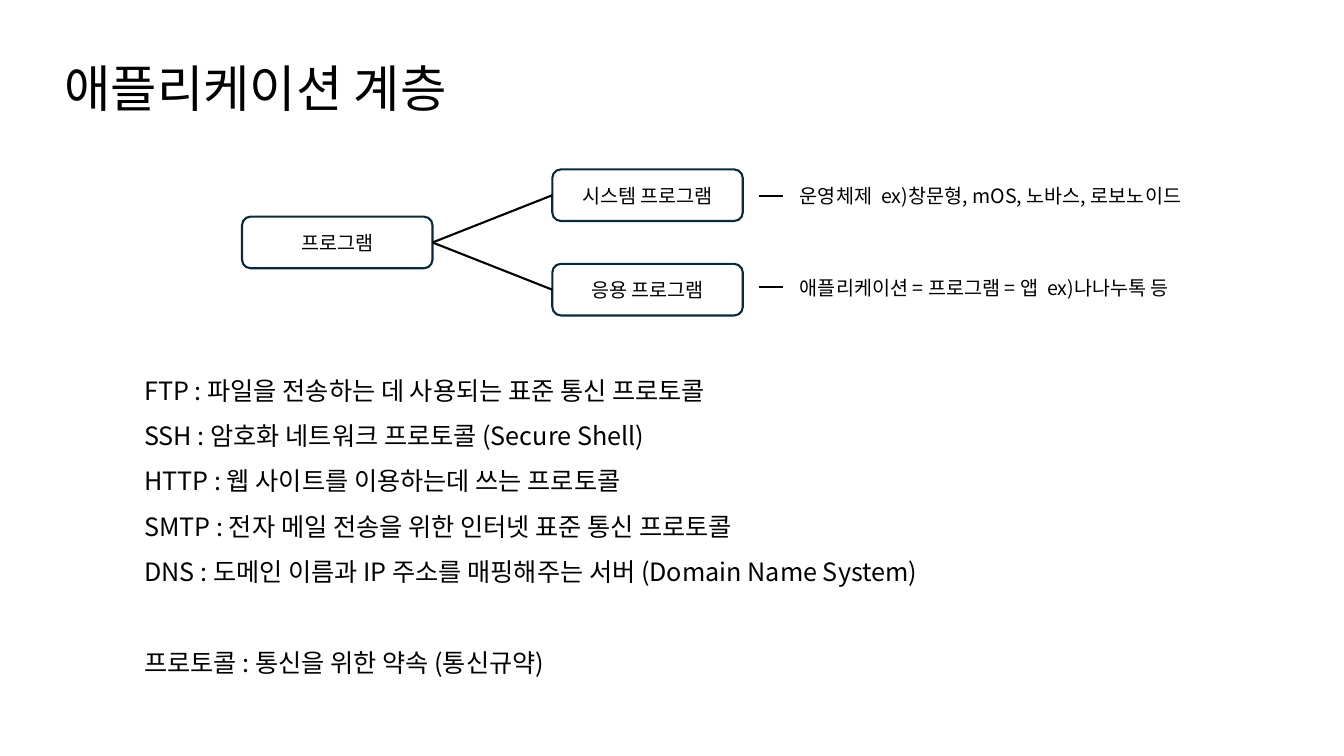
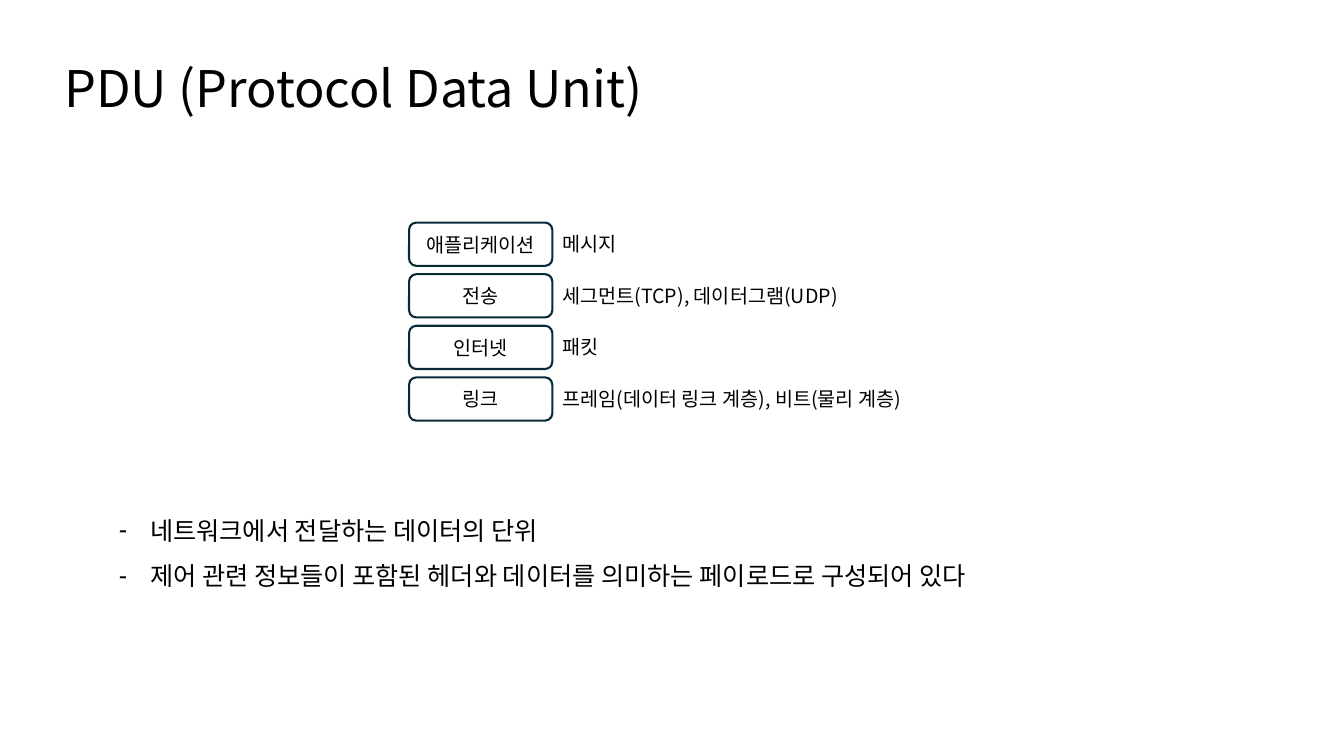
"""Builds two slides on the application layer and its protocol data units."""
import pptx
import pptx.util
import pptx.oxml
import pptx.dml.color
import pptx.enum.text
import pptx.enum.shapes

Cm, Pt = pptx.util.Cm, pptx.util.Pt
ALIGN = pptx.enum.text.PP_ALIGN
MID = pptx.enum.text.MSO_ANCHOR.MIDDLE
TOP = pptx.enum.text.MSO_ANCHOR.TOP
NS = 'xmlns:a="http://schemas.openxmlformats.org/drawingml/2006/main"'
FONT = "Noto Sans CJK KR"
HEX = {"text": "000000", "edge": "092A39"}
RGB = {key: pptx.dml.color.RGBColor.from_string(val) for key, val in HEX.items()}
FRAME = {"word_wrap": True, "auto_size": pptx.enum.text.MSO_AUTO_SIZE.NONE}
LIST = {"line_spacing": 1.5, "space_before": Pt(0)}


def write(frame, lines, size, anchor=TOP, form=None):
    """Fill a text frame with one paragraph per line."""
    for key, val in (FRAME | {"vertical_anchor": anchor}).items():
        setattr(frame, key, val)
    frame.text = "\n".join(lines)
    for para in frame.paragraphs:
        for key, val in ({"alignment": ALIGN.LEFT} | (form or {})).items():
            setattr(para, key, val)
        for run in para.runs:
            for key, val in {"name": FONT, "size": Pt(size), "bold": False}.items():
                setattr(run.font, key, val)
            run.font.color.rgb = RGB["text"]
            run.font._element.append(
                pptx.oxml.parse_xml(f'<a:ea {NS} typeface="{FONT}"/>'))


def add(slide, text, box, card=False):
    """Place a plain label, or a rounded card with centred text."""
    spot = [Cm(num) for num in box]
    if not card:
        write(slide.shapes.add_textbox(*spot).text_frame, [text], 14)
        return None
    kind = pptx.enum.shapes.MSO_SHAPE.ROUNDED_RECTANGLE
    shape = slide.shapes.add_shape(kind, *spot)
    shape.shadow.inherit = False
    shape.fill.background()
    shape.line.color.rgb = RGB["edge"]
    shape.line.width = Pt(1.5)
    write(shape.text_frame, [text], 14, MID, {"alignment": ALIGN.CENTER})
    return shape


deck = pptx.Presentation()
deck.slide_width, deck.slide_height = Cm(33.87), Cm(19.05)

pages = [
    ("애플리케이션 계층", (3.38, 8.94, 21.1, 8.2), "", [
        "FTP : 파일을 전송하는 데 사용되는 표준 통신 프로토콜",
        "SSH : 암호화 네트워크 프로토콜 (Secure Shell)",
        "HTTP : 웹 사이트를 이용하는데 쓰는 프로토콜",
        "SMTP : 전자 메일 전송을 위한 인터넷 표준 통신 프로토콜",
        "DNS : 도메인 이름과 IP 주소를 매핑해주는 서버 (Domain Name System)",
        "프로토콜 : 통신을 위한 약속 (통신규약)"]),
    ("PDU (Protocol Data Unit)", (2.74, 12.47, 23.27, 2.44), "-", [
        "네트워크에서 전달하는 데이터의 단위",
        "제어 관련 정보들이 포함된 헤더와 데이터를 의미하는 페이로드로 구성되어 있다"]),
]
slides = []
for head, box, mark, lines in pages:
    slide = deck.slides.add_slide(deck.slide_layouts[1])
    title, body = slide.placeholders
    for shape, spot in ((title, (1.37, 1.3, 28, 1.8)), (body, box)):
        for key, num in zip(("left", "top", "width", "height"), spot):
            setattr(shape, key, Cm(num))
    write(title.text_frame, [head], 36)
    write(body.text_frame, lines, 18, form=LIST)
    dent = Cm(0.79) if mark else 0
    bull = f'<a:buChar {NS} char="{mark}"/>' if mark else f"<a:buNone {NS}/>"
    for para in body.text_frame.paragraphs:
        prop = para._p.get_or_add_pPr()
        prop.set("marL", str(dent))
        prop.set("indent", str(-dent))
        prop.append(pptx.oxml.parse_xml(bull))
    slides.append(slide)

tree, stack = slides
tree.placeholders[1].text_frame.paragraphs[-1].space_before = Pt(32.5)

wide, high = 4.8, 1.3
root = add(tree, "프로그램", (6.1, 5.46, wide, high), True)
kids = [
    ("시스템 프로그램", 4.27, 4.93, "운영체제  ex)창문형, mOS, 노바스, 로보노이드", 10.41),
    ("응용 프로그램", 6.65, 7.24, "애플리케이션 = 프로그램 = 앱  ex)나나누톡 등", 10.54),
]
for name, top, mid, note, span in kids:
    kid = add(tree, name, (13.92, top, wide, high), True)
    add(tree, note, (19.91, mid - 0.41, span, 0.86))
    ends = [Cm(num) for num in (19.13, mid, 19.74, mid)]
    dash, link = [tree.shapes.add_connector(
        pptx.enum.shapes.MSO_CONNECTOR.STRAIGHT, *ends) for _ in range(2)]
    link.begin_connect(root, 3)
    link.end_connect(kid, 1)
    for line in (dash, link):
        line.line.color.rgb = RGB["text"]
        line.line.width = Pt(1.5)
        line._element.spPr.append(pptx.oxml.parse_xml(f"<a:effectLst {NS}/>"))

units = [
    ("애플리케이션", "메시지", 1.96),
    ("전송", "세그먼트(TCP), 데이터그램(UDP)", 7.8),
    ("인터넷", "패킷", 1.47),
    ("링크", "프레임(데이터 링크 계층), 비트(물리 계층)", 9.65),
]
for row, (name, unit, span) in enumerate(units):
    top = 5.61 + 1.3 * row
    add(stack, name, (10.31, top, 3.61, 1.09), True)
    add(stack, unit, (13.92, top + 0.11, span, 0.86))

deck.save("out.pptx")
